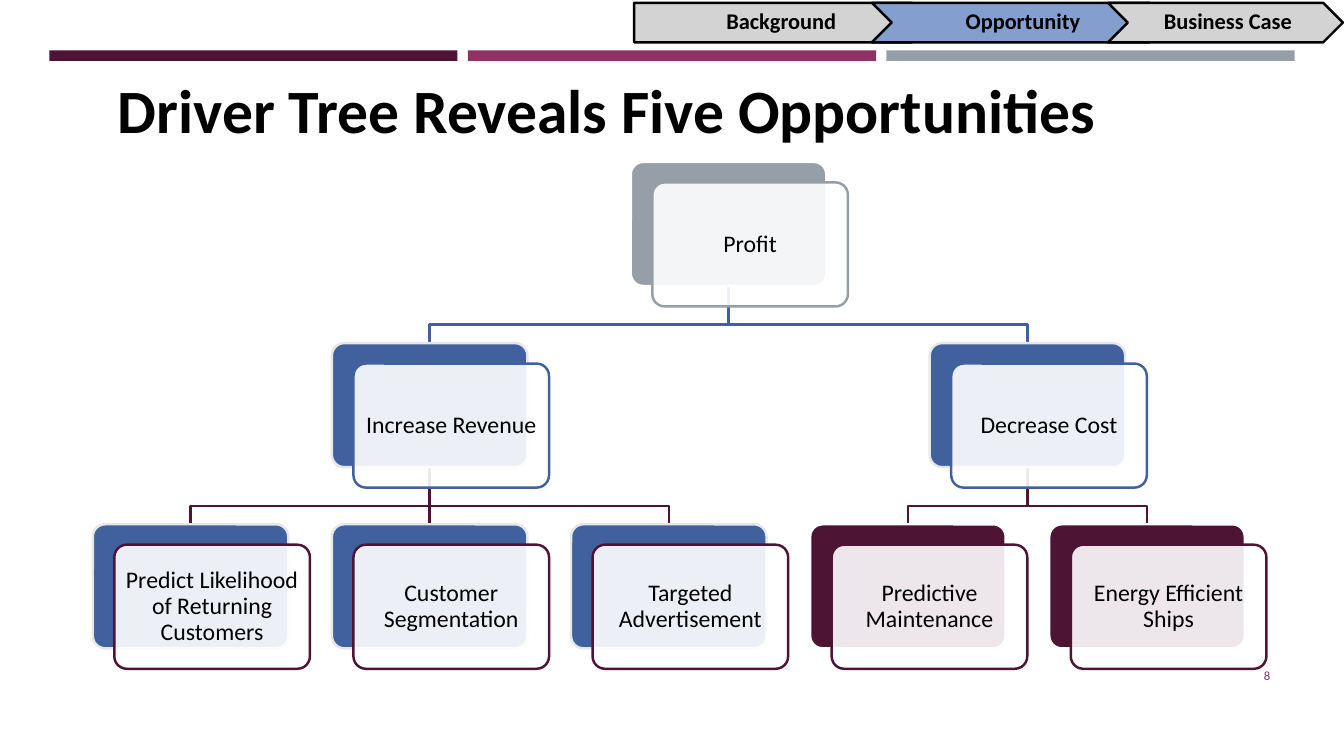
from lxml import etree
from pptx import Presentation
from pptx import util as u
from pptx.dml.color import RGBColor
from pptx.enum import shapes, text
from pptx.oxml import ns

Pt = u.Pt
COLORS = {
    "black": "000000", "white": "FFFFFF", "plum": "4D1434", "magenta": "903163",
    "gray": "969FA7", "blue": "40619D", "light_blue": "849ECD",
    "silver": "D3D3D3", "pale": "E7E7E7",
}
FONT = "Calibri"
LINE_WIDTH = 1.75
CARD_WIDTH, CARD_HEIGHT = 139.7, 88.6
FIRST_LEFT, COLUMN_STEP = 66.3, 170.8
FIRST_TOP, ROW_STEP = 115.7, 129.4
FRONT_DX, FRONT_DY = 15.4, 14.6
ELBOW_DROP = 27.6

# name: (label, column, row, back fill, back line, front line, parent)
CARDS = {
    "profit": ("Profit", 2.25, 0, "gray", "white", "gray", None),
    "revenue": ("Increase Revenue", 1, 1, "blue", "pale", "blue", "profit"),
    "likelihood": ("Predict Likelihood of Returning Customers", 0, 2, "blue", "pale", "plum", "revenue"),
    "segmentation": ("Customer Segmentation", 1, 2, "blue", "pale", "plum", "revenue"),
    "advertisement": ("Targeted Advertisement", 2, 2, "blue", "pale", "plum", "revenue"),
    "cost": ("Decrease Cost", 3.5, 1, "blue", "pale", "blue", "profit"),
    "maintenance": ("Predictive Maintenance", 3, 2, "plum", "white", "plum", "cost"),
    "ships": ("Energy Efficient Ships", 4, 2, "plum", "white", "plum", "cost"),
}


def color(name):
    return RGBColor.from_string(COLORS[name])


def add_box(slide, kind, left, top, width, height, fill, line=None):
    box = slide.shapes.add_shape(kind, Pt(left), Pt(top), Pt(width), Pt(height))
    box.shadow.inherit = False
    box.fill.solid()
    box.fill.fore_color.rgb = color(fill)
    if line:
        box.line.color.rgb = color(line)
        box.line.width = Pt(LINE_WIDTH)
    else:
        box.line.fill.background()
    return box


def format_text(box, size, bold=False, align=text.PP_ALIGN.CENTER, insets=(7.2, 3.6, 7.2, 3.6)):
    frame = box.text_frame
    frame.word_wrap = True
    frame.auto_size = text.MSO_AUTO_SIZE.NONE
    frame.vertical_anchor = text.MSO_ANCHOR.MIDDLE
    frame.margin_left, frame.margin_top, frame.margin_right, frame.margin_bottom = map(Pt, insets)
    para = frame.paragraphs[0]
    para.alignment = align
    para.line_spacing = 0.9
    for span in para.runs:
        span.font.name = FONT
        span.font.size = Pt(size)
        span.font.bold = bold
        span.font.color.rgb = color("black")


def add_title(slide, label):
    title = slide.shapes.title
    title.left, title.top, title.width, title.height = Pt(77), Pt(28.8), Pt(828), Pt(104.4)
    title.text_frame.text = label
    format_text(title, 44, True, text.PP_ALIGN.LEFT)


def add_step(slide, kind, label, left, width, fill, left_inset):
    step = add_box(slide, kind, left, 2, width, 28.2, fill, "black")
    step.text_frame.text = label
    format_text(step, 16, True, insets=(left_inset, 3.6, 1.5, 3.6))


def card_position(name):
    column, row = CARDS[name][1:3]
    return FIRST_LEFT + column * COLUMN_STEP, FIRST_TOP + row * ROW_STEP


def add_branch(slide, parent, child, line):
    parent_left, parent_top = card_position(parent)
    child_left, end_y = card_position(child)
    start_x, end_x = (left + CARD_WIDTH / 2 for left in (parent_left, child_left))
    start_y = parent_top + CARD_HEIGHT
    if start_x == end_x:
        branch = slide.shapes.add_connector(
            shapes.MSO_CONNECTOR.STRAIGHT, Pt(start_x), Pt(start_y), Pt(end_x), Pt(end_y))
        etree.SubElement(branch.element.spPr, ns.qn("a:effectLst"))
    else:
        bend_y = start_y + ELBOW_DROP
        builder = slide.shapes.build_freeform(Pt(start_x), Pt(start_y))
        builder.add_line_segments(
            [(Pt(x), Pt(y)) for x, y in ((start_x, bend_y), (end_x, bend_y), (end_x, end_y))],
            close=False)
        branch = builder.convert_to_shape()
        branch.shadow.inherit = False
        branch.fill.background()
    branch.line.color.rgb = color(line)
    branch.line.width = Pt(LINE_WIDTH)


def add_card(slide, name):
    label, _, _, fill, back_line, front_line, _ = CARDS[name]
    left, top = card_position(name)
    rounded = shapes.MSO_SHAPE.ROUNDED_RECTANGLE
    back = add_box(slide, rounded, left, top, CARD_WIDTH, CARD_HEIGHT, fill, back_line)
    front = add_box(slide, rounded, left + FRONT_DX, top + FRONT_DY,
                    CARD_WIDTH, CARD_HEIGHT, "white", front_line)
    back.adjustments[0] = front.adjustments[0] = 0.1
    tint = front.element.spPr.find(ns.qn("a:solidFill"))[0]
    etree.SubElement(tint, ns.qn("a:alpha"), val="90000")
    front.text_frame.text = label
    format_text(front, 17, insets=(5, 5, 5, 5))


def add_page_number(slide, number):
    box = slide.shapes.add_textbox(Pt(831.6), Pt(468.7), Pt(82.8), Pt(28.8))
    para = box.text_frame.paragraphs[0]
    para.text = number
    format_text(box, 9, align=text.PP_ALIGN.RIGHT)
    para.runs[0].font.color.rgb = color("magenta")


def main():
    deck = Presentation()
    deck.slide_width, deck.slide_height = Pt(960), Pt(540)
    page = deck.slides.add_slide(deck.slide_layouts[5])
    for index, fill in enumerate(("plum", "magenta", "gray")):
        add_box(page, shapes.MSO_SHAPE.RECTANGLE, 35.2 + index * 299, 36, 291.6, 7.5, fill)
    add_title(page, "Driver Tree Reveals Five Opportunities")
    for name, card in CARDS.items():
        if card[-1]:
            add_branch(page, card[-1], name, card[5])
    for name in CARDS:
        add_card(page, name)
    pentagon, chevron = shapes.MSO_SHAPE.PENTAGON, shapes.MSO_SHAPE.CHEVRON
    add_step(page, pentagon, "Background", 452.9, 212.4, "silver", 6.5)
    add_step(page, chevron, "Opportunity", 622.8, 212.4, "light_blue", 5)
    add_step(page, chevron, "Business Case", 791.5, 167.8, "silver", 5)
    add_page_number(page, "8")
    deck.save("out.pptx")


if __name__ == "__main__":
    main()
